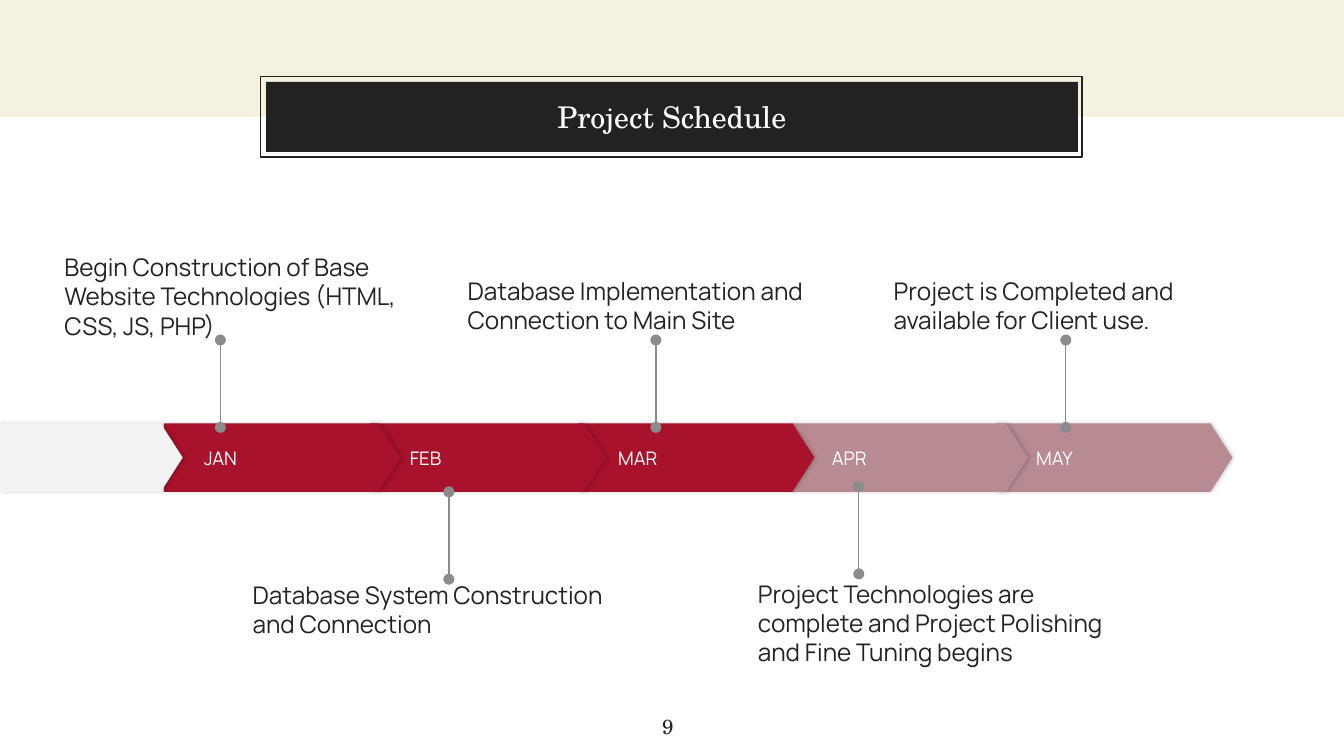
from lxml.etree import SubElement
from pptx import Presentation
from pptx.dml.color import RGBColor
from pptx.enum.shapes import MSO_CONNECTOR, MSO_SHAPE
from pptx.enum.text import MSO_ANCHOR, MSO_AUTO_SIZE, PP_ALIGN
from pptx.oxml.ns import qn
from pptx.util import Inches, Pt

COLORS = {
    "cream": "F5F1E0",
    "ink": "222222",
    "white": "FFFFFF",
    "red": "A8122A",
    "rose": "B88A92",
    "pale": "F3F3F3",
    "gray": "8B8B8B",
    "black": "000000",
}
SERIF = "TeX Gyre Schola"
SANS = "Manrope"
MONTHS = [
    (7.41, "rose", "MAY"),
    (5.89, "rose", "APR"),
    (4.3, "red", "MAR"),
    (2.75, "red", "FEB"),
    (1.22, "red", "JAN"),
]
MILESTONES = [
    (1.64, 3.18, 0.48, 1.83, MSO_ANCHOR.BOTTOM,
     "Begin Construction of Base Website Technologies (HTML, CSS, JS, PHP)"),
    (4.88, 3.18, 3.48, 1.79, MSO_ANCHOR.BOTTOM,
     "Database Implementation and Connection to Main Site"),
    (7.93, 3.18, 6.65, 1.79, MSO_ANCHOR.BOTTOM,
     "Project is Completed and available for Client use."),
    (3.34, 4.31, 1.88, 4.32, MSO_ANCHOR.TOP,
     "Database System Construction and Connection"),
    (6.39, 4.27, 5.64, 4.31, MSO_ANCHOR.TOP,
     "Project Technologies are complete and Project Polishing and Fine Tuning begins"),
]


def color(name):
    """Return the named palette colour."""
    return RGBColor.from_string(COLORS[name])


def write(shape, text, size, font, ink, insets, anchor=MSO_ANCHOR.TOP, align=PP_ALIGN.LEFT):
    """Put one formatted run into a shape."""
    frame = shape.text_frame
    frame.word_wrap = True
    frame.auto_size = MSO_AUTO_SIZE.NONE
    frame.vertical_anchor = anchor
    frame.margin_left, frame.margin_top, frame.margin_right, frame.margin_bottom = map(Inches, insets)
    para = frame.paragraphs[0]
    para.alignment = align
    span = para.add_run()
    span.text = text
    span.font.size = Pt(size)
    span.font.name = font
    span.font.color.rgb = color(ink)


def add_block(page, kind, left, top, width, height, fill=None, line=None):
    """Add a flat preset shape with an optional fill and outline."""
    block = page.shapes.add_shape(kind, Inches(left), Inches(top), Inches(width), Inches(height))
    block.shadow.inherit = False
    if fill:
        block.fill.solid()
        block.fill.fore_color.rgb = color(fill)
    else:
        block.fill.background()
    if line:
        block.line.color.rgb = color(line)
        block.line.width = Pt(0.75)
    else:
        block.line.fill.background()
    return block


def add_text(page, left, top, width, height, *content):
    """Add a text box."""
    box = page.shapes.add_textbox(Inches(left), Inches(top), Inches(width), Inches(height))
    write(box, *content)


def add_arrow(page, left, width, fill, label=None):
    """Add one arrow of the timeline with its soft shadow."""
    arrow = add_block(page, MSO_SHAPE.PENTAGON, left, 3.15, width, 0.51, fill)
    arrow.adjustments[0] = 0.32
    effects = arrow.element.spPr.find(qn("a:effectLst"))
    shadow = SubElement(effects, qn("a:outerShdw"), blurRad=str(Pt(2.2)),
                        dist=str(Pt(0.8)), dir="0", algn="ctr", rotWithShape="0")
    tint = SubElement(shadow, qn("a:srgbClr"), val=COLORS["black"])
    SubElement(tint, qn("a:alpha"), val="20000")
    if label:
        write(arrow, label, 10, SANS, "white", (0.3, 0, 0, 0), MSO_ANCHOR.MIDDLE)


def add_pin(page, x, bottom):
    """Add a vertical pin with a dot at both ends."""
    pin = page.shapes.add_connector(
        MSO_CONNECTOR.STRAIGHT, Inches(x), Inches(bottom), Inches(x), Inches(bottom - 0.65))
    pin.line.color.rgb = color("gray")
    pin.line.width = Pt(0.75)
    outline = pin.element.spPr.find(qn("a:ln"))
    for end in ("a:headEnd", "a:tailEnd"):
        SubElement(outline, qn(end), type="oval")
    SubElement(pin.element.spPr, qn("a:effectLst"))


def add_title(page, text):
    """Format the title placeholder and bring it to the front."""
    title = page.shapes.title
    title.left, title.top, title.width, title.height = map(Inches, (1.98, 0.61, 6.04, 0.52))
    title.fill.solid()
    title.fill.fore_color.rgb = color("ink")
    write(title, text, 16, SERIF, "white", (0.1,) * 4, MSO_ANCHOR.MIDDLE, PP_ALIGN.CENTER)
    title.element.getparent().append(title.element)


def main():
    """Build and save the project schedule."""
    deck = Presentation()
    deck.slide_width = Inches(10)
    deck.slide_height = deck.slide_width * 9 // 16
    page = deck.slides.add_slide(deck.slide_layouts[5])
    add_block(page, MSO_SHAPE.RECTANGLE, 0, 0, 10, 0.87, fill="cream")
    add_block(page, MSO_SHAPE.RECTANGLE, 1.94, 0.57, 6.11, 0.6, line="ink")
    add_text(page, 4.39, 5.21, 1.16, 0.33, "9", 11, SERIF, "ink", (0.1,) * 4,
             MSO_ANCHOR.TOP, PP_ALIGN.CENTER)
    for left, fill, month in MONTHS:
        add_arrow(page, left, 1.76, fill, month)
    add_arrow(page, 0, 1.36, "pale")
    for x, bottom, left, top, anchor, text in MILESTONES:
        add_pin(page, x, bottom)
        add_text(page, left, top, 2.67, 0.7, text, 13, SANS, "ink", (0,) * 4, anchor)
    add_title(page, "Project Schedule")
    deck.save("out.pptx")


if __name__ == "__main__":
    main()
